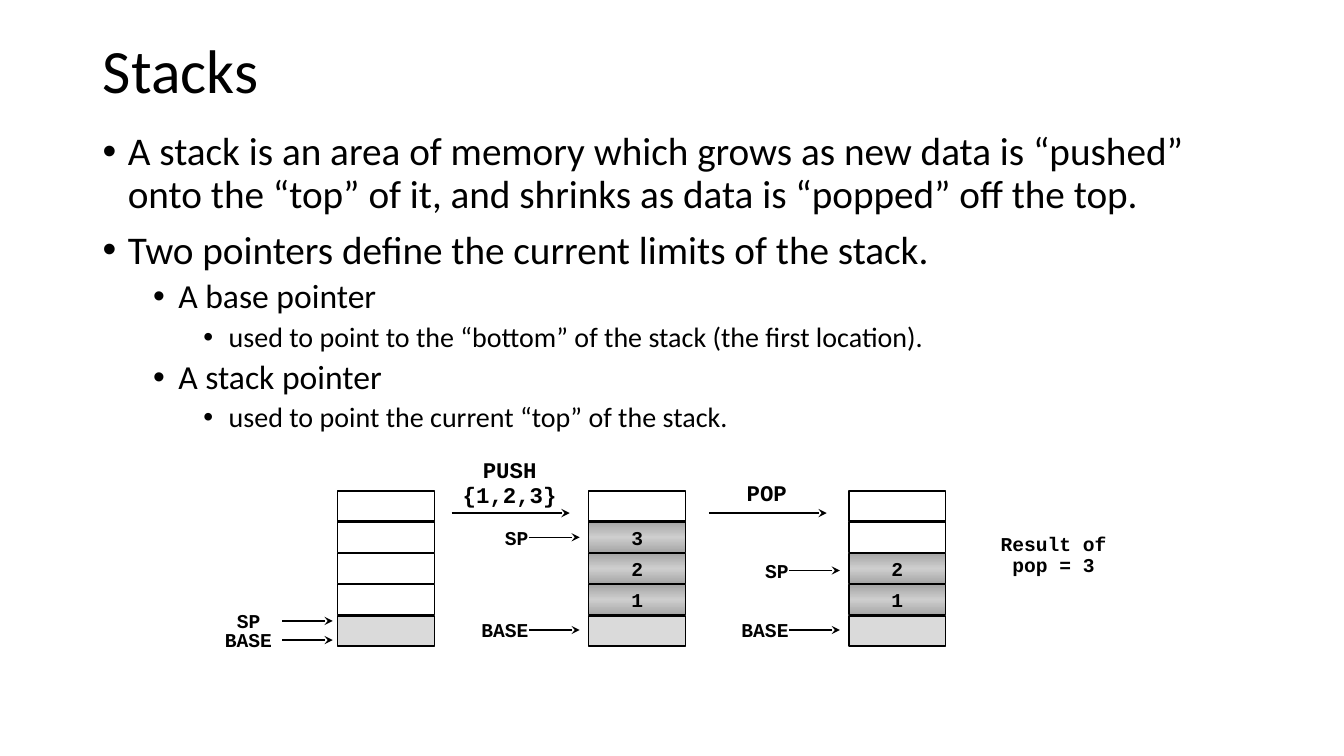
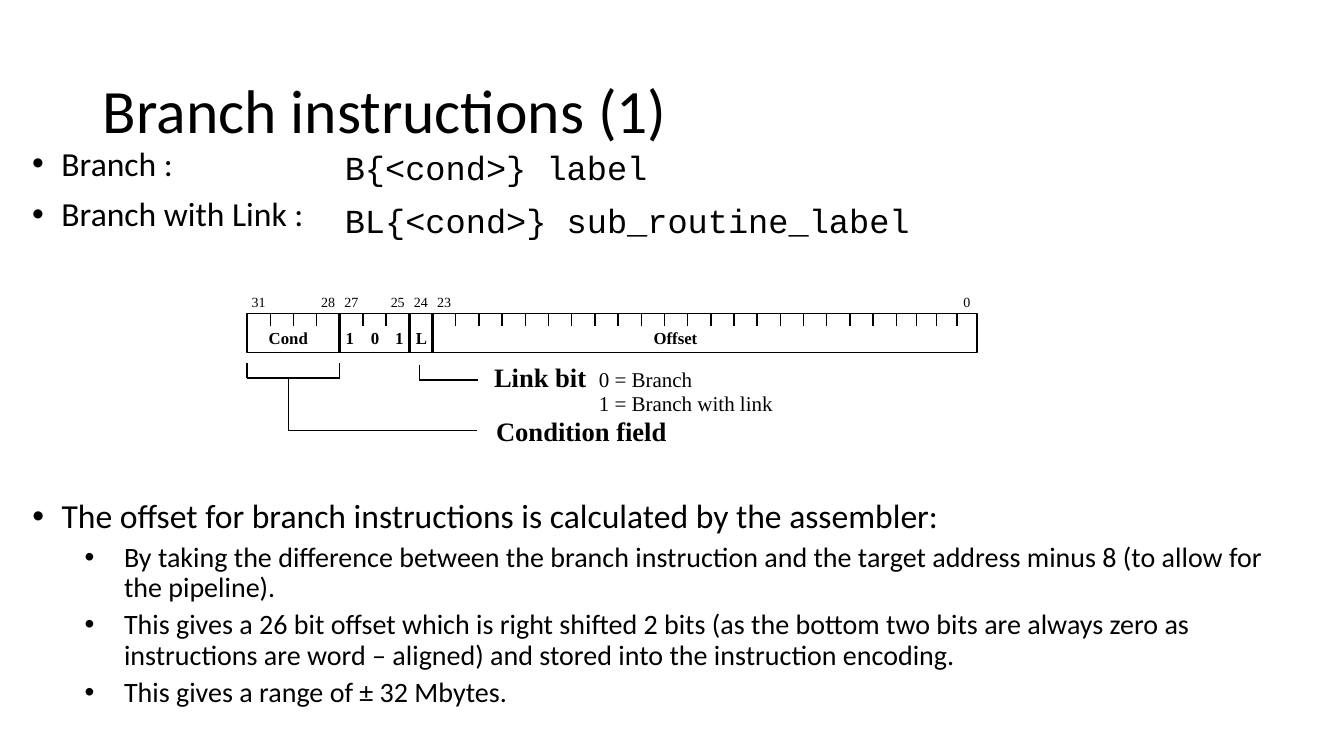
from copy import deepcopy
from dataclasses import dataclass

from lxml import etree
from pptx import Presentation
from pptx.dml.color import RGBColor
from pptx.enum.shapes import MSO_CONNECTOR, MSO_SHAPE
from pptx.enum.text import MSO_ANCHOR, PP_ALIGN
from pptx.oxml.ns import qn
from pptx.util import Inches, Pt

LEFT, CENTER, RIGHT = PP_ALIGN.LEFT, PP_ALIGN.CENTER, PP_ALIGN.RIGHT
TOP, MIDDLE = MSO_ANCHOR.TOP, MSO_ANCHOR.MIDDLE
STRAIGHT, RECTANGLE = MSO_CONNECTOR.STRAIGHT, MSO_SHAPE.RECTANGLE


@dataclass(frozen=True)
class Theme:
    ink: RGBColor = RGBColor(0, 0, 0)
    base_cell: RGBColor = RGBColor(0xDA, 0xDA, 0xDA)
    data_edge: RGBColor = RGBColor(0xA5, 0xA5, 0xA5)
    data_middle: RGBColor = RGBColor(0xCE, 0xCE, 0xCE)
    sans: str = "Calibri"
    mono: str = "Courier New"
    serif: str = "Times New Roman"
    title: int = 44
    large: int = 28
    medium: int = 24
    small: int = 20
    heading: int = 19
    detail: int = 15
    action: int = 16
    label: int = 14
    field: int = 12
    bit: int = 10


THEME = Theme()
WIDE = (0.1, 0.05)
TIGHT = (0.07, 0.03)

STACK_LEVELS = [
    dict(size=THEME.large, margin=0.25, hang=0.25, before=10),
    dict(size=THEME.medium, margin=0.75, hang=0.25, before=5),
    dict(size=THEME.small, margin=1.25, hang=0.25, before=5),
]
BRANCH_LEVELS = [
    dict(size=THEME.medium, margin=0.29, hang=0.29, before=10),
    dict(size=THEME.small, margin=0.91, hang=0.39, before=5),
]

STACK_POINTS = [
    (0, "A stack is an area of memory which grows as new data is “pushed” "
        "onto the “top” of it, and shrinks as data is “popped” off the top."),
    (0, "Two pointers define the current limits of the stack."),
    (1, "A base pointer"),
    (2, "used to point to the “bottom” of the stack (the first location)."),
    (1, "A stack pointer"),
    (2, "used to point the current “top” of the stack."),
]
STACKS = [
    dict(left=3.35, values=["", "", "", ""], gap=0.05, reach=0.71, align=CENTER,
         pointers=[("SP", 6.16), ("BASE", 6.35)]),
    dict(left=5.84, values=["", "3", "2", "1"], gap=0.09, reach=0.66, align=RIGHT,
         pointers=[("SP", 5.33), ("BASE", 6.25)]),
    dict(left=8.42, values=["", "", "2", "1"], gap=0.09, reach=0.66, align=RIGHT,
         pointers=[("SP", 5.66), ("BASE", 6.25)]),
]
CELL_TOP, CELL_PITCH, CELL_WIDTH, CELL_HEIGHT = 4.87, 0.31, 0.96, 0.3
ARROW_LENGTH = 0.5
ACTIONS = [
    ("PUSH {1,2,3}", (4.4, 4.51, 1.31, 0.58)),
    ("POP", (6.95, 4.73, 1.31, 0.34)),
]
ACTION_Y = 5.09
RESULT = ("Result of pop = 3", (9.66, 5.25, 1.58, 0.52))

BRANCH_FORMS = [
    ("Branch :", "B{<cond>} label"),
    ("Branch with Link :", "BL{<cond>} sub_routine_label"),
]
OFFSET_POINTS = [
    (0, "The offset for branch instructions is calculated by the assembler:"),
    (1, "By taking the difference between the branch instruction and the target "
        "address minus 8 (to allow for the pipeline)."),
    (1, "This gives a 26 bit offset which is right shifted 2 bits (as the bottom "
        "two bits are always zero as instructions are word – aligned) and stored "
        "into the instruction encoding."),
    (1, "This gives a range of ± 32 Mbytes."),
]
WORD_LEFT, WORD_TOP, WORD_BOTTOM, TICK = 2.45, 3.11, 3.5, 0.12
DIVIDERS = (4, 7, 8)
BIT_NUMBERS = (31, 28, 27, 25, 24, 23, 0)
FIELDS = [("Cond", 2.86), ("1", 3.47), ("0", 3.72), ("1", 3.96), ("L", 4.18), ("Offset", 6.7)]
CALLOUT_LINES = [
    (2.45, 3.6, 2.45, 3.75),
    (2.45, 3.75, 3.37, 3.75),
    (3.37, 3.75, 3.37, 3.6),
    (2.86, 3.75, 2.86, 4.27),
    (2.86, 4.27, 4.73, 4.27),
    (4.16, 3.62, 4.16, 3.77),
    (4.16, 3.77, 4.74, 3.77),
]
LINK_ROWS = [("Link bit", "0 = Branch"), ("", "1 = Branch with link")]
LINK_TAB = 1.04


def inches(*values):
    return [Inches(value) for value in values]


def apply(target, **formats):
    for name, value in formats.items():
        setattr(target, name, value)


def format_frame(frame, inset, anchor):
    across, down = inches(*inset)
    apply(frame, word_wrap=True, vertical_anchor=anchor, margin_left=across,
          margin_right=across, margin_top=down, margin_bottom=down)


def add_span(para, text, size, font, bold=False):
    span = para.add_run()
    span.text = text
    apply(span.font, size=Pt(size), name=font, bold=bold)
    span.font.color.rgb = THEME.ink


def add_box(page, place, inset=WIDE, anchor=TOP):
    box = page.shapes.add_textbox(*inches(*place))
    format_frame(box.text_frame, inset, anchor)
    return box.text_frame


def next_para(frame, index):
    return frame.add_paragraph() if index else frame.paragraphs[0]


def add_label(page, text, place, size, font=THEME.mono, bold=True, align=CENTER,
              inset=WIDE, anchor=TOP, spacing=0.9):
    para = add_box(page, place, inset, anchor).paragraphs[0]
    apply(para, alignment=align, line_spacing=spacing)
    add_span(para, text, size, font, bold)


def add_bullets(page, place, points, levels, inset):
    frame = add_box(page, place, inset)
    for index, (level, text) in enumerate(points):
        look = levels[level]
        para = next_para(frame, index)
        props = para._p.get_or_add_pPr()
        props.set("marL", str(Inches(look["margin"])))
        props.set("indent", str(-Inches(look["hang"])))
        etree.SubElement(props, qn("a:buFont"), typeface="Arial")
        etree.SubElement(props, qn("a:buChar"), char="•")
        apply(para, level=level, line_spacing=0.9,
              space_before=Pt(look["before"] if index else 0))
        add_span(para, text, look["size"], THEME.sans)


def add_line(page, x1, y1, x2, y2, width=1, arrow=False):
    line = page.shapes.add_connector(STRAIGHT, *inches(x1, y1, x2, y2))
    line.line.color.rgb = THEME.ink
    line.line.width = Pt(width)
    props = line._element.spPr
    if arrow:
        etree.SubElement(props.find(qn("a:ln")), qn("a:tailEnd"), type="stealth")
    etree.SubElement(props, qn("a:effectLst"))


def add_rectangle(page, place):
    shape = page.shapes.add_shape(RECTANGLE, *inches(*place))
    shape.shadow.inherit = False
    shape.fill.background()
    shape.line.color.rgb = THEME.ink
    shape.line.width = Pt(1)
    return shape


def shade_data(shape):
    shape.fill.gradient()
    shape.fill.gradient_angle = 90
    stops = shape._element.spPr.find(".//" + qn("a:gsLst"))
    stops.append(deepcopy(stops[0]))
    colors = (THEME.data_edge, THEME.data_middle, THEME.data_edge)
    for index, (stop, color) in enumerate(zip(shape.fill.gradient_stops, colors)):
        stop.position = index / 2
        stop.color.rgb = color


def add_page(deck, title, top):
    page = deck.slides.add_slide(deck.slide_layouts[5])
    holder = page.shapes.title
    left, top, width, height = inches(0.92, top, 11.5, 1.45)
    apply(holder, left=left, top=top, width=width, height=height)
    format_frame(holder.text_frame, WIDE, MIDDLE)
    para = holder.text_frame.paragraphs[0]
    apply(para, alignment=LEFT, line_spacing=0.9)
    add_span(para, title, THEME.title, THEME.sans)
    return page


def draw_stack(page, stack):
    left = stack["left"]
    for row, value in enumerate(stack["values"] + [None]):
        cell = add_rectangle(page, (left, CELL_TOP + row * CELL_PITCH, CELL_WIDTH, CELL_HEIGHT))
        if value is None:
            cell.fill.solid()
            cell.fill.fore_color.rgb = THEME.base_cell
        elif value:
            shade_data(cell)
            format_frame(cell.text_frame, (0, 0), MIDDLE)
            para = cell.text_frame.paragraphs[0]
            para.alignment = CENTER
            add_span(para, value, THEME.label, THEME.mono, True)
    end = left - stack["gap"]
    start = end - ARROW_LENGTH
    for name, y in stack["pointers"]:
        add_line(page, start, y, end, y, arrow=True)
        add_label(page, name, (start - stack["reach"], y - 0.14, 0.75, 0.31),
                  THEME.label, align=stack["align"])


def build_stacks(deck):
    page = add_page(deck, "Stacks", 0)
    add_bullets(page, (0.92, 1.26, 11.5, 3.2), STACK_POINTS, STACK_LEVELS, WIDE)
    for stack in STACKS:
        draw_stack(page, stack)
    for text, place in ACTIONS:
        add_label(page, text, place, THEME.action)
        start = place[0] + 0.08
        add_line(page, start, ACTION_Y, start + 1.17, ACTION_Y, 2, True)
    add_label(page, *RESULT, THEME.label)


def bit_x(index):
    return WORD_LEFT + 0.23 * min(index, 28) + 0.2 * max(index - 28, 0)


def draw_instruction_word(page):
    add_rectangle(page, (WORD_LEFT, WORD_TOP, bit_x(32) - WORD_LEFT, WORD_BOTTOM - WORD_TOP))
    for index in range(1, 32):
        x = bit_x(index)
        divides = index in DIVIDERS
        bottom = WORD_BOTTOM if divides else WORD_TOP + TICK
        add_line(page, x, WORD_TOP, x, bottom, 2 if divides else 1)
    serif = dict(font=THEME.serif, inset=(0, 0.03), spacing=1.0)
    for bit in BIT_NUMBERS:
        center = (bit_x(31 - bit) + bit_x(32 - bit)) / 2
        add_label(page, str(bit), (center - 0.15, 2.88, 0.3, 0.23), THEME.bit, bold=False, **serif)
    for text, center in FIELDS:
        add_label(page, text, (center - 0.3, 3.22, 0.6, 0.27), THEME.field, anchor=MIDDLE, **serif)


def draw_callouts(page):
    for ends in CALLOUT_LINES:
        add_line(page, *ends)
    add_label(page, "Condition field", (4.85, 4.12, 1.95, 0.34), THEME.heading,
              THEME.serif, align=LEFT, inset=TIGHT)
    frame = add_box(page, (4.83, 3.59, 3.1, 0.57), TIGHT)
    for index, (name, meaning) in enumerate(LINK_ROWS):
        para = next_para(frame, index)
        tabs = etree.SubElement(para._p.get_or_add_pPr(), qn("a:tabLst"))
        etree.SubElement(tabs, qn("a:tab"), pos=str(Inches(LINK_TAB)), algn="l")
        para.line_spacing = 0.89
        if name:
            add_span(para, name, THEME.heading, THEME.serif, True)
        add_span(para, "\t" + meaning, THEME.detail, THEME.serif)


def build_branches(deck):
    page = add_page(deck, "Branch instructions (1)", 0.4)
    names = [(0, name) for name, code in BRANCH_FORMS]
    add_bullets(page, (0.25, 1.43, 3.1, 1), names, BRANCH_LEVELS, TIGHT)
    frame = add_box(page, (3.35, 1.47, 9, 1), TIGHT)
    for index, (name, code) in enumerate(BRANCH_FORMS):
        para = next_para(frame, index)
        apply(para, line_spacing=0.9, space_before=Pt(12 if index else 0))
        add_span(para, code, THEME.medium, THEME.mono)
    draw_instruction_word(page)
    draw_callouts(page)
    add_bullets(page, (0.25, 4.93, 12.75, 2.36), OFFSET_POINTS, BRANCH_LEVELS, TIGHT)


def main():
    deck = Presentation()
    apply(deck, slide_width=Inches(13.33), slide_height=Inches(7.5))
    build_stacks(deck)
    build_branches(deck)
    deck.save("out.pptx")


if __name__ == "__main__":
    main()
